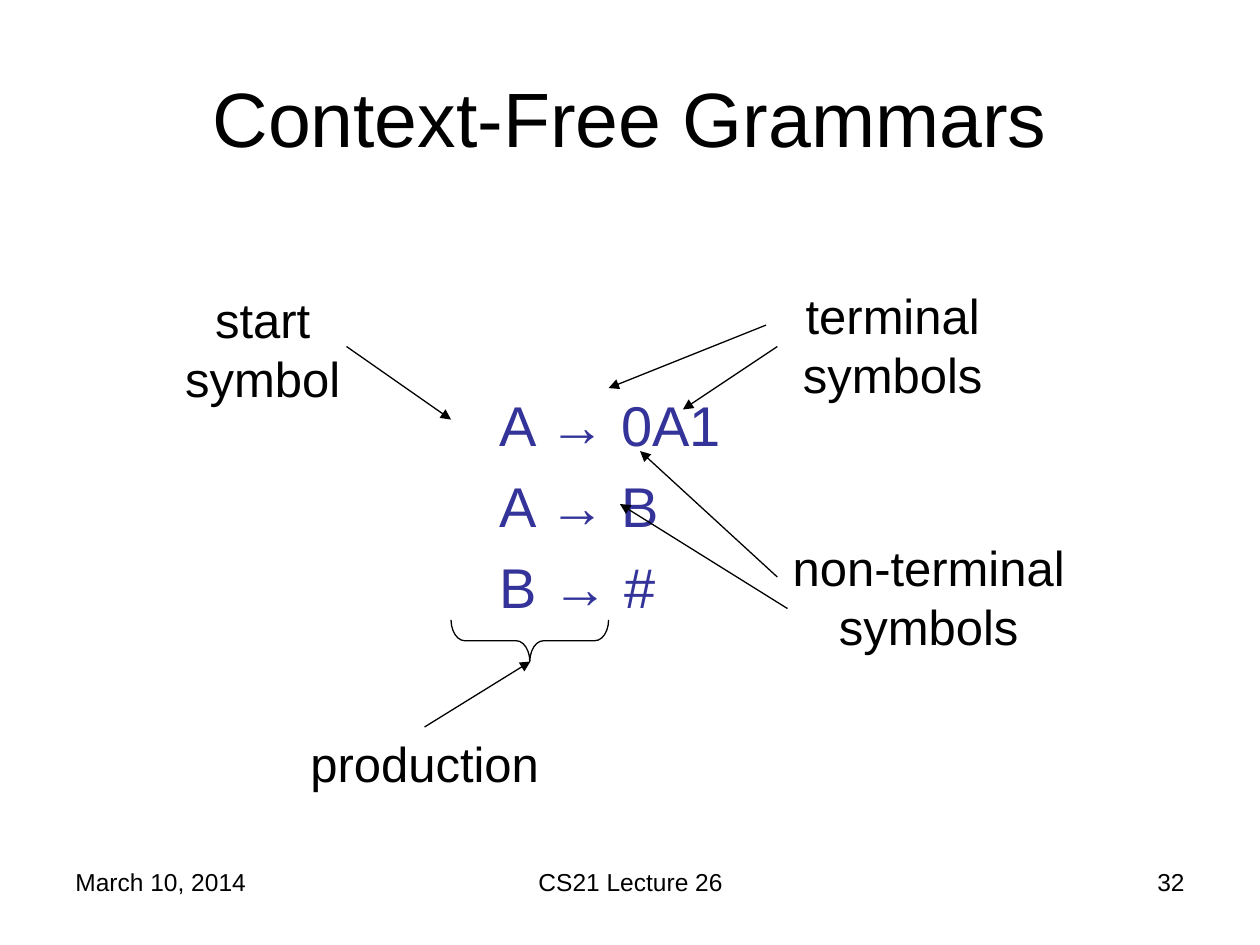
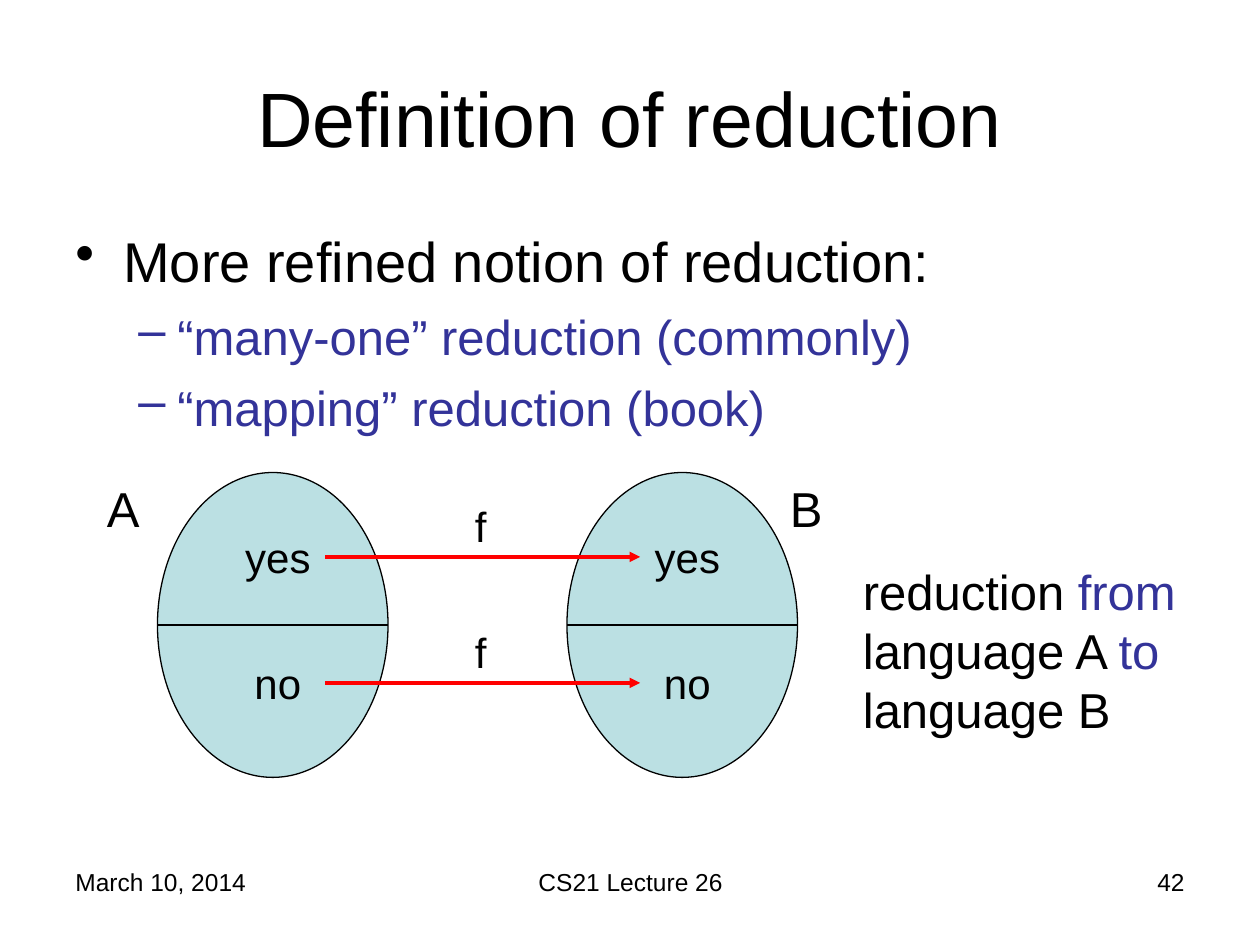
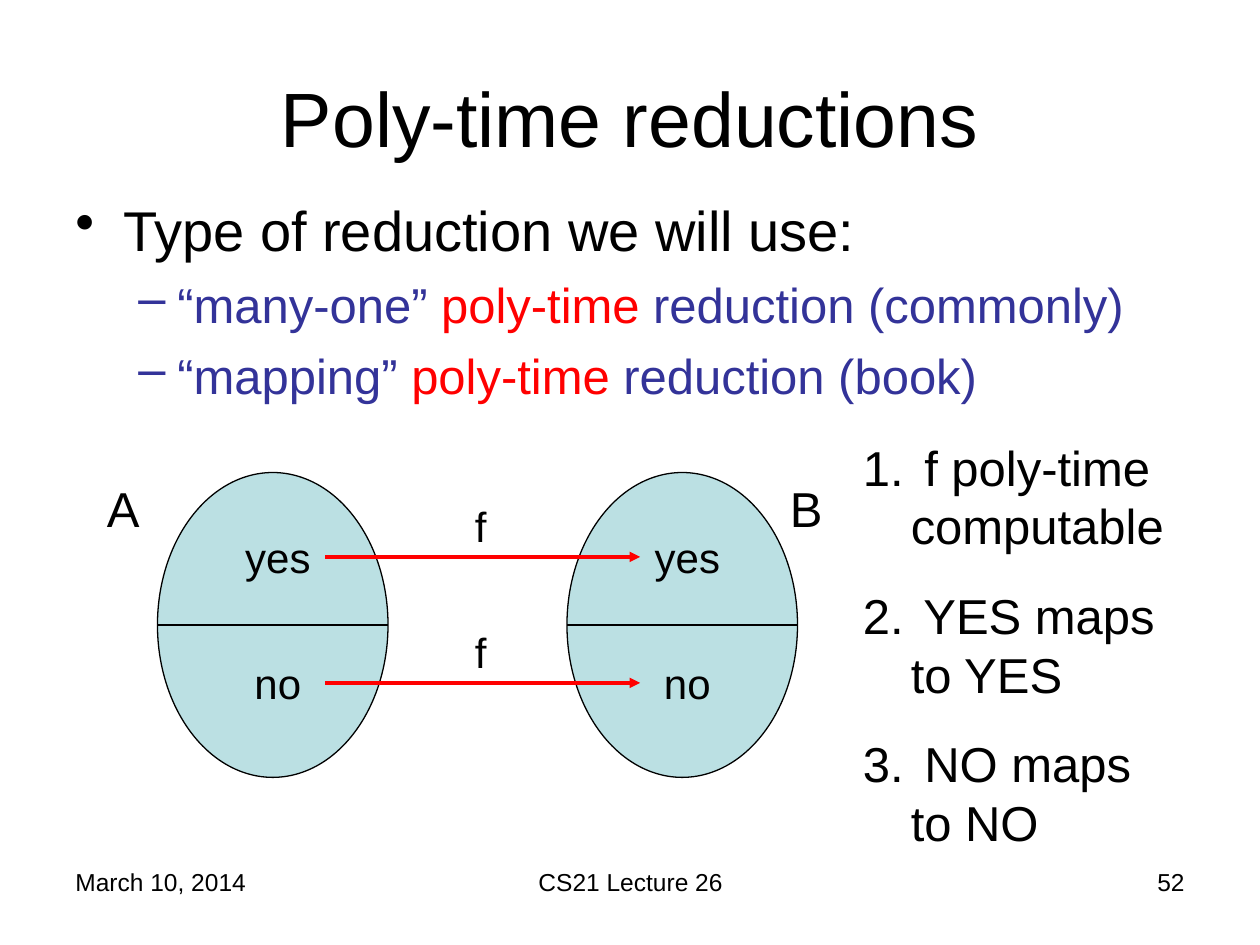
from lxml import etree
from pptx import Presentation
from pptx.dml.color import RGBColor
from pptx.enum.shapes import MSO_CONNECTOR, MSO_SHAPE
from pptx.enum.text import MSO_ANCHOR, PP_ALIGN
from pptx.oxml.ns import qn
from pptx.util import Inches, Pt

# Shared style
BLACK = RGBColor(0x00, 0x00, 0x00)
INDIGO = RGBColor(0x33, 0x33, 0x99)
RED = RGBColor(0xFF, 0x00, 0x00)
PALE_TEAL = RGBColor(0xBB, 0xE0, 0xE3)
FONT = "Arial"
TITLE_ONLY = 5
TOP, LEFT, BOTTOM, RIGHT = range(4)


def set_bullet(paragraph, bullet, color, margin, hang):
    """Give a paragraph a hanging bullet; "1." numbers it automatically."""
    properties = paragraph._p.get_or_add_pPr()
    properties.set("marL", str(Inches(margin)))
    properties.set("indent", str(-Inches(hang)))
    bullet_color = etree.SubElement(properties, qn("a:buClr"))
    etree.SubElement(bullet_color, qn("a:srgbClr"), val=str(color))
    if bullet == "1.":
        etree.SubElement(properties, qn("a:buAutoNum"), type="arabicPeriod")
    else:
        etree.SubElement(properties, qn("a:buChar"), char=bullet)


def write_paragraph(paragraph, runs, size=28, color=BLACK, align=PP_ALIGN.LEFT,
                    before=0, bullet=None, margin=0.38, hang=0.38):
    """Fill a paragraph from a string or from (text, color) runs."""
    if bullet:
        set_bullet(paragraph, bullet, color, margin, hang)
    paragraph.alignment = align
    paragraph.space_before = Pt(before)
    for text, run_color in [(runs, color)] if isinstance(runs, str) else runs:
        run = paragraph.add_run()
        run.text = text
        run.font.name = FONT
        run.font.size = Pt(size)
        run.font.color.rgb = run_color


def add_text(slide, box, paragraphs, before=0, **style):
    """Add a text box; each paragraph is its runs or (runs, own style)."""
    shape = slide.shapes.add_textbox(*map(Inches, box))
    frame = shape.text_frame
    frame.word_wrap = True
    for index, item in enumerate(paragraphs):
        runs, own = item if isinstance(item, tuple) else (item, {})
        paragraph = frame.paragraphs[0] if index == 0 else frame.add_paragraph()
        options = {"before": before, **style, **own}
        if index == 0:
            options["before"] = 0
        write_paragraph(paragraph, runs, **options)
    return shape


def add_line(slide, start, end, color=BLACK, width=0.75, arrow=True):
    points = map(Inches, (*start, *end))
    connector = slide.shapes.add_connector(MSO_CONNECTOR.STRAIGHT, *points)
    connector.line.color.rgb = color
    connector.line.width = Pt(width)
    if arrow:
        etree.SubElement(connector.line._get_or_add_ln(), qn("a:tailEnd"), type="triangle")
    etree.SubElement(connector._element.spPr, qn("a:effectLst"))
    return connector


def add_outline(slide, kind, box, fill=None):
    shape = slide.shapes.add_shape(kind, *map(Inches, box))
    shape.shadow.inherit = False
    if fill is None:
        shape.fill.background()
    else:
        shape.fill.solid()
        shape.fill.fore_color.rgb = fill
    shape.line.color.rgb = BLACK
    shape.line.width = Pt(0.75)
    return shape


def add_lecture_slide(presentation, title, number):
    """Start a slide with its title and footer."""
    slide = presentation.slides.add_slide(presentation.slide_layouts[TITLE_ONLY])
    shape = slide.shapes.title
    shape.left, shape.top, shape.width, shape.height = map(Inches, (0.5, 0.3, 9, 1.25))
    shape.text_frame.vertical_anchor = MSO_ANCHOR.MIDDLE
    write_paragraph(shape.text_frame.paragraphs[0], title, size=44, align=PP_ALIGN.CENTER)
    footer = [
        (0.5, 2.33, "March 10, 2014", PP_ALIGN.LEFT),
        (3.42, 3.17, "CS21 Lecture 26", PP_ALIGN.CENTER),
        (7.17, 2.33, str(number), PP_ALIGN.RIGHT),
    ]
    for left, width, text, align in footer:
        add_text(slide, (left, 6.83, width, 0.52), [text], size=14, align=align)
    return slide


def add_bullets(slide, box, heading, items):
    """Add a bulleted heading with dashed items under it."""
    dash = dict(size=28, color=INDIGO, before=7, bullet="–", margin=0.81, hang=0.31)
    add_text(slide, box, [(heading, dict(size=32, bullet="•"))]
             + [(item, dash) for item in items])


def add_grammar(slide, box):
    """Draw the productions with labels pointing at their parts."""
    left, top, width, height = box

    def at(x, y):
        return left + x, top + y

    add_text(slide, (*at(2.62, 0.83), 2.5, 1.95), ["A → 0A1", "A → B", "B → #"],
             size=32, color=INDIGO, before=8)

    # Labels
    labels = [
        ("start symbol", 0, 0.03, 1.67, 1.04),
        ("terminal symbols", 5, 0, 1.67, 1.04),
        ("non-terminal symbols", 4.83, 2, 2.58, 1.04),
        ("production", 0.83, 3.55, 2.58, 0.57),
    ]
    label_shapes = {
        text: add_text(slide, (*at(x, y), label_width, label_height), [text],
                       align=PP_ALIGN.CENTER)
        for text, x, y, label_width, label_height in labels
    }

    # Arrows from labels to symbols
    arrows = [
        ((1.5, 0.53), (2.33, 1.11)),
        ((4.83, 0.36), (3.58, 0.86)),
        ((4.92, 0.53), (4.17, 1.03)),
        ((5, 2.61), (3.67, 1.78)),
        ((4.92, 2.36), (3.83, 1.36)),
    ]
    for start, end in arrows:
        add_line(slide, at(*start), at(*end))

    # Brace under one production
    brace = add_outline(slide, MSO_SHAPE.LEFT_BRACE, (*at(2.79, 2.24), 0.33, 1.25))
    brace.rotation = 270
    brace.adjustments[0] = 0.33
    arrow = add_line(slide, at(2.12, 3.55), at(2.96, 3.03))
    arrow.begin_connect(label_shapes["production"], TOP)


def add_mapping(slide, box):
    """Draw languages A and B with f mapping yes to yes and no to no."""
    left, top, width, height = box
    oval_width = 1.83
    oval_lefts = (left + 0.5, left + 3.75)
    answers = (("yes", top + 0.42), ("no", top + 1.42))

    # Languages, each split in two halves
    for oval_left in oval_lefts:
        add_outline(slide, MSO_SHAPE.OVAL, (oval_left, top, oval_width, height), PALE_TEAL)
        middle = top + height / 2
        add_line(slide, (oval_left, middle), (oval_left + oval_width, middle), arrow=False)
    for name, offset in (("A", 0), ("B", 5.42)):
        add_text(slide, (left + offset, top, 0.58, 0.57), [name])

    # Answers joined by f
    for answer, answer_top in answers:
        source, target = [
            add_text(slide, (oval_left + 0.58, answer_top, 0.75, 0.5), [answer],
                     size=24, align=PP_ALIGN.CENTER)
            for oval_left in oval_lefts
        ]
        arrow_y = answer_top + 0.25
        arrow = add_line(slide, (left + 1.83, arrow_y), (left + 4.33, arrow_y), RED, 2)
        arrow.begin_connect(source, RIGHT)
        arrow.end_connect(target, LEFT)
        add_text(slide, (left + 2.92, answer_top - 0.25, 0.58, 0.5), ["f"], size=24)


def main():
    presentation = Presentation()
    presentation.slide_width = Inches(10)
    presentation.slide_height = Inches(7.5)
    mapping_box = (0.75, 3.75, 6, 2.42)

    # Grammar
    slide = add_lecture_slide(presentation, "Context-Free Grammars", 32)
    add_grammar(slide, (1.25, 2.22, 7.41, 4.12))

    # Reduction
    slide = add_lecture_slide(presentation, "Definition of reduction", 42)
    add_bullets(slide, (0.5, 1.75, 9, 1.83), "More refined notion of reduction:",
                ["“many-one” reduction (commonly)", "“mapping” reduction (book)"])
    add_mapping(slide, mapping_box)
    add_text(slide, (6.75, 4.41, 2.75, 1.5), [[
        ("reduction ", BLACK), ("from", INDIGO), (" language A ", BLACK),
        ("to", INDIGO), (" language B", BLACK),
    ]])

    # Poly-time reduction
    slide = add_lecture_slide(presentation, "Poly-time reductions", 52)
    add_bullets(slide, (0.5, 1.5, 9, 1.83), "Type of reduction we will use:", [
        [(f"“{kind}” ", INDIGO), ("poly-time", RED), (f" reduction ({usage})", INDIGO)]
        for kind, usage in (("many-one", "commonly"), ("mapping", "book"))
    ])
    add_mapping(slide, mapping_box)
    add_text(slide, (6.75, 3.42, 2.75, 3.39),
             [" f poly-time computable", " YES maps to YES", " NO maps to NO"],
             before=17.5, bullet="1.")

    presentation.save("out.pptx")


if __name__ == "__main__":
    main()
